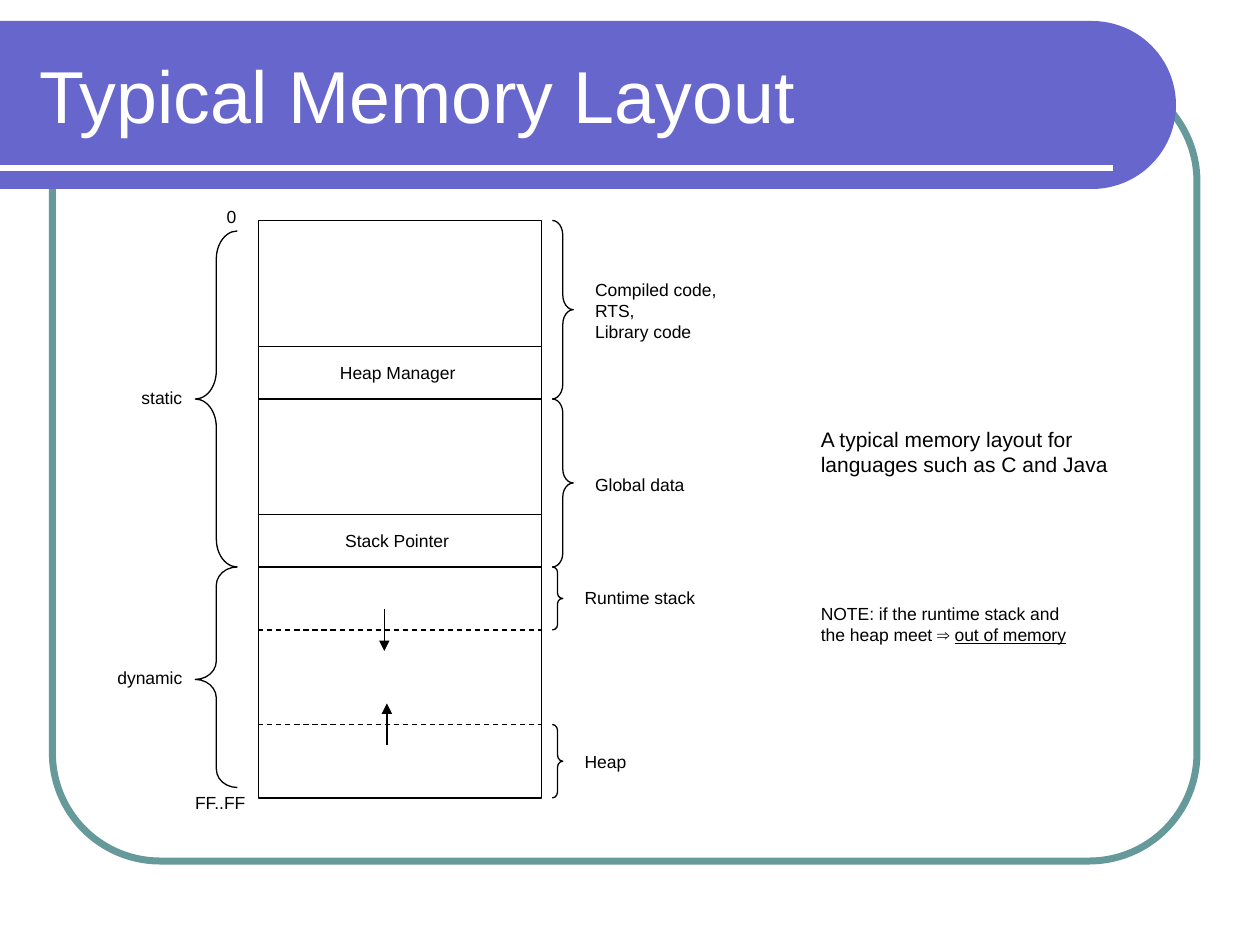
from dataclasses import dataclass
from math import cos, pi, sin

from lxml.etree import SubElement
from pptx import Presentation
from pptx.dml.color import RGBColor
from pptx.enum.dml import MSO_LINE_DASH_STYLE as Dash
from pptx.enum.shapes import MSO_CONNECTOR as Connector, MSO_SHAPE as Shape
from pptx.enum.text import MSO_ANCHOR as Anchor, MSO_AUTO_SIZE as AutoSize, PP_ALIGN as Align
from pptx.oxml.ns import qn
from pptx.util import Inches, Pt


@dataclass(frozen=True)
class Theme:
    """Colours, type sizes and line widths."""
    font: str = "Arial"
    ink: RGBColor = RGBColor(0, 0, 0)
    paper: RGBColor = RGBColor(255, 255, 255)
    band: RGBColor = RGBColor.from_string("6666CC")
    frame: RGBColor = RGBColor.from_string("669999")
    title: int = 42
    remark: int = 12
    label: int = 10
    thin: float = 0.75
    rule: float = 3
    border: float = 4


THEME = Theme()
UNIT = 1 / 12
MEMORY_LEFT = 2.05
MEMORY_COLS = 27


def col(number):
    """Return the x of a grid column, counted from the memory's left edge."""
    return Inches(MEMORY_LEFT + number * UNIT)


def row(number):
    """Return the y of a grid row, counted from the top of the slide."""
    return Inches(number * UNIT)


def style_font(font, size, color):
    """Set the face, size and colour of a font."""
    font.name, font.size, font.color.rgb = THEME.font, Pt(size), color


def add_outline(slide, kind, box, color=THEME.ink, width=THEME.thin):
    """Add an unfilled preset shape."""
    outline = slide.shapes.add_shape(kind, *box)
    outline.shadow.inherit = False
    outline.fill.background()
    outline.line.color.rgb, outline.line.width = color, Pt(width)
    return outline


def add_line(slide, start, end, color=THEME.ink, width=THEME.thin, dashed=False, arrow=False):
    """Add a straight line, dashed or with an arrowhead if asked."""
    connector = slide.shapes.add_connector(Connector.STRAIGHT, *start, *end)
    connector.line.color.rgb, connector.line.width = color, Pt(width)
    if dashed:
        connector.line.dash_style = Dash.DASH
    if arrow:
        SubElement(connector.line._get_or_add_ln(), qn("a:tailEnd"), type="triangle")
    SubElement(connector.element.spPr, qn("a:effectLst"))


def add_brace(slide, kind, left, top, bottom, cols, tip=0.5):
    """Add a curly brace spanning two grid rows."""
    rows = bottom - top
    brace = add_outline(slide, kind, (col(left), row(top), row(cols), row(rows)))
    brace.adjustments[0] = rows / 12 / cols
    brace.adjustments[1] = tip


def add_label(slide, text, left, middle, width, size=THEME.label):
    """Add a text centred on a grid row and return its last paragraph."""
    lines = text.count("\n") + text.count("\v") + 1
    height = Inches(0.1 + lines * size / 60)
    label = slide.shapes.add_textbox(col(left), row(middle) - height // 2, Inches(width), height)
    frame = label.text_frame
    frame.word_wrap = False
    frame.auto_size = AutoSize.SHAPE_TO_FIT_TEXT
    frame.text = text
    for paragraph in frame.paragraphs:
        paragraph.alignment = Align.LEFT
        style_font(paragraph.font, size, THEME.ink)
    return frame.paragraphs[-1]


def draw_backdrop(slide):
    """Draw the rounded frame, the title band and its rule."""
    frame = add_outline(slide, Shape.ROUNDED_RECTANGLE, (row(5), row(7), row(109), row(75)),
                        THEME.frame, THEME.border)
    frame.adjustments[0] = 0.137
    center_x, center_y, radius, steps = row(104), row(10), row(8), 48
    angles = [pi * step / steps - pi / 2 for step in range(steps + 1)]
    curve = [(center_x + radius * cos(a), center_y + radius * sin(a)) for a in angles]
    outline = slide.shapes.build_freeform(0, row(2))
    outline.add_line_segments(curve + [(0, row(18))], close=True)
    band = outline.convert_to_shape()
    band.shadow.inherit = False
    band.fill.solid()
    band.fill.fore_color.rgb = THEME.band
    band.line.fill.background()
    add_line(slide, (0, row(16)), (row(106), row(16)), THEME.paper, THEME.rule)


def write_title(slide, text):
    """Place the title placeholder over the band."""
    title = slide.shapes.title
    slide.shapes._spTree.append(title.element)
    title.left, title.top, title.width, title.height = Inches(0.21), row(3), Inches(8.77), row(12)
    frame = title.text_frame
    frame.text = text
    frame.auto_size = AutoSize.NONE
    frame.vertical_anchor = Anchor.MIDDLE
    paragraph = frame.paragraphs[0]
    paragraph.alignment = Align.LEFT
    style_font(paragraph.font, THEME.title, THEME.paper)


def draw_memory(slide):
    """Draw the memory block, its cells, its limits and the growth arrows."""
    for top, rows in ((21, 55), (33, 5), (49, 5)):
        add_outline(slide, Shape.RECTANGLE, (col(0), row(top), row(MEMORY_COLS), row(rows)))
    for limit in (60, 69):
        add_line(slide, (col(0), row(limit)), (col(MEMORY_COLS), row(limit)), dashed=True)
    for across, start, end in ((12, 58, 62), (12.25, 71, 67)):
        add_line(slide, (col(across), row(start)), (col(across), row(end)), arrow=True)


def draw_braces(slide):
    """Bracket the regions on both sides of the memory."""
    for top, bottom, tip in ((22, 54, 0.5), (54, 75, 0.51)):
        add_brace(slide, Shape.LEFT_BRACE, -6, top, bottom, 4, tip)
    for top, bottom, cols in ((21, 38, 2), (38, 54, 2), (54, 60, 1), (69, 76, 1)):
        add_brace(slide, Shape.RIGHT_BRACE, 28, top, bottom, cols)


def write_labels(slide):
    """Name the cells, addresses and regions, and add the remarks."""
    labels = (
        ("Heap Manager", 6.6, 35.5, 1.16),
        ("Stack Pointer", 7.1, 51.5, 1.07),
        ("0", -4.2, 20.6, 0.32),
        ("FF..FF", -7.2, 76.4, 0.66),
        ("static", -12.3, 37.9, 0.57),
        ("dynamic", -14.6, 64.5, 0.76),
        ("Compiled code,\nRTS,\nLibrary code", 30.9, 29.6, 1.21),
        ("Global data", 30.9, 46.2, 0.96),
        ("Runtime stack", 29.9, 56.9, 1.12),
        ("Heap", 29.9, 72.5, 0.62),
    )
    for label in labels:
        add_label(slide, *label)
    add_label(slide, "A typical memory layout for\nlanguages such as C and Java",
              52.4, 43, 2.53, THEME.remark)
    note = add_label(slide, "NOTE: if the runtime stack and\vthe heap meet ⇒ ", 52.4, 59.4, 2.2)
    warning = note.add_run()
    warning.text = "out of memory"
    warning.font.underline = True


def main():
    """Build and save the slide."""
    deck = Presentation()
    deck.slide_width, deck.slide_height = Inches(10), Inches(7.5)
    slide = deck.slides.add_slide(deck.slide_layouts[5])
    draw_backdrop(slide)
    write_title(slide, "Typical Memory Layout")
    draw_memory(slide)
    draw_braces(slide)
    write_labels(slide)
    deck.save("out.pptx")


if __name__ == "__main__":
    main()
